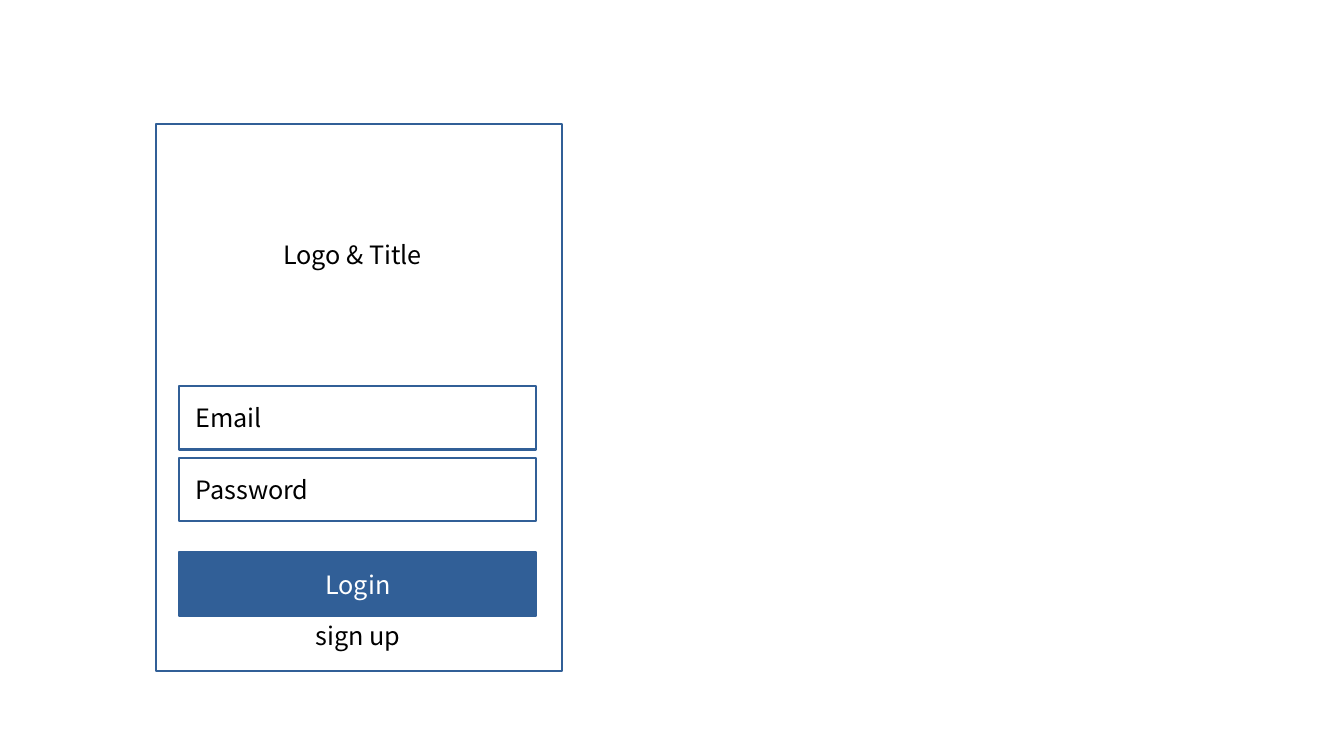
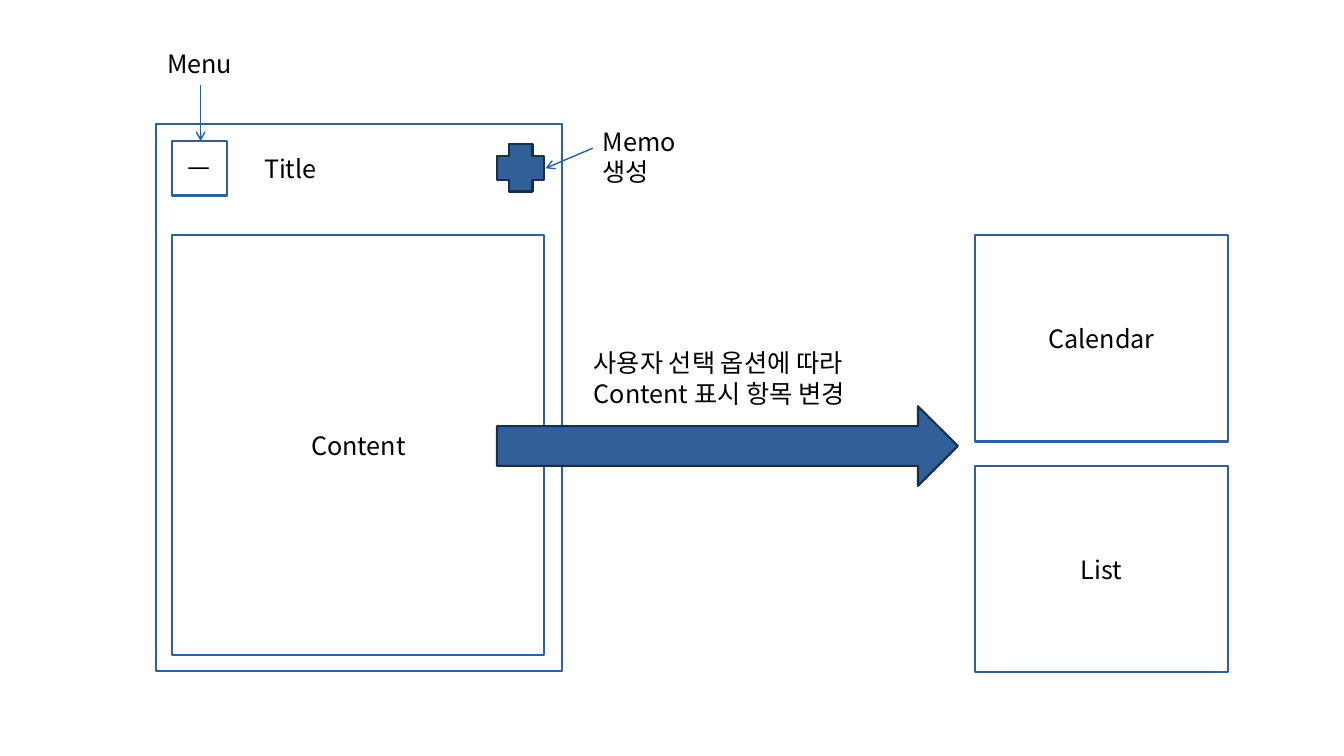
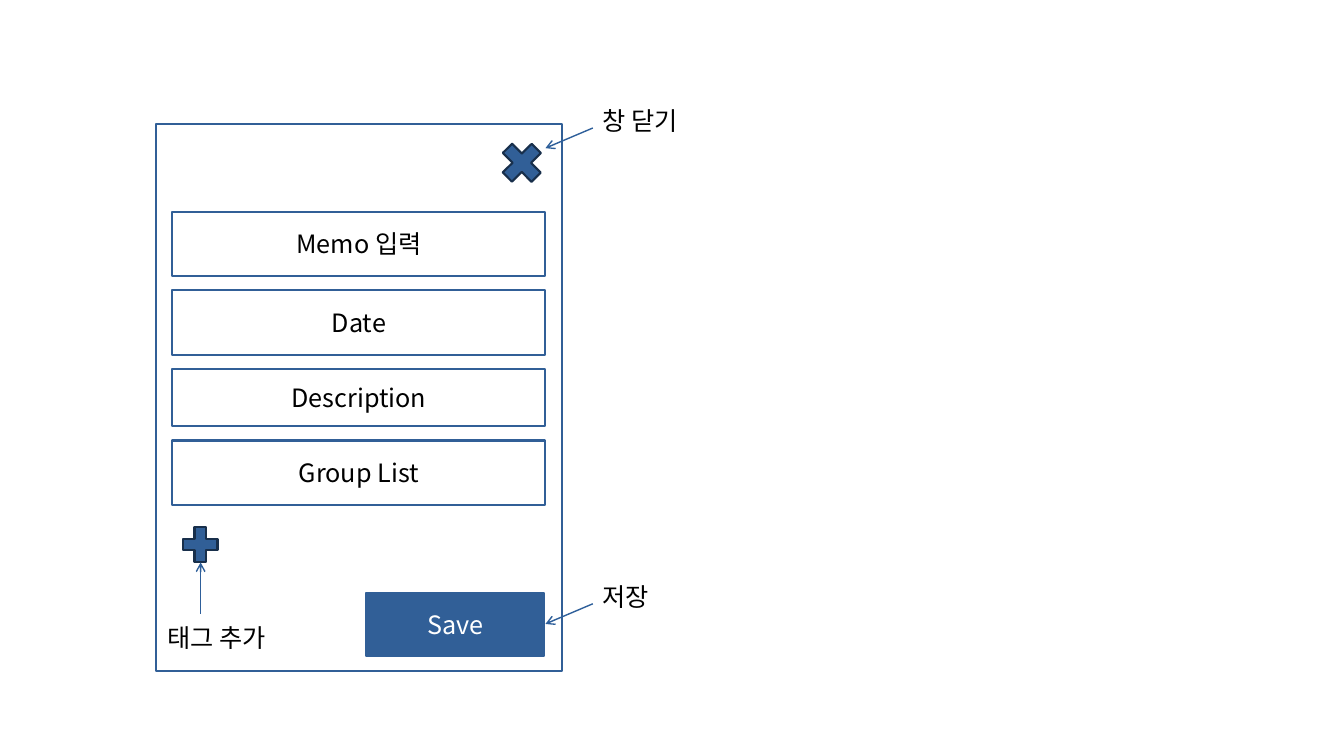
from dataclasses import dataclass

from lxml.etree import SubElement
from pptx import Presentation
from pptx.dml.color import RGBColor
from pptx.enum.shapes import MSO_CONNECTOR, MSO_SHAPE
from pptx.enum.text import MSO_ANCHOR, PP_ALIGN
from pptx.oxml.ns import qn
from pptx.util import Inches, Pt

# Content: labels with their places in inches (left, top[, width, height])
LOGIN_LABELS = [("Logo & Title", 2.71, 2.33, 1.63), ("sign up", 3.03, 6.11, 1.05)]
LOGIN_FIELDS = ["Email", "Password"]
LOGIN_BUTTON = ("Login", 1.78, 5.48, 3.54, 0.63)

MENU_BUTTON = ("ㅡ", 1.71, 1.4, 0.54, 0.54)
CONTENT_AREA = ("Content", 1.71, 2.33, 3.69, 4.17)
CONTENT_OPTIONS = ["Calendar", "List"]
HOME_LABELS = [("Title", 2.52, 1.47, 0.72), ("Menu", 1.56, 0.43, 0.85)]
OPTION_NOTE = ("사용자 선택 옵션에 따라\nContent 표시 항목 변경", 5.79, 3.4, 2.87, 0.7)
MEMO_CALLOUT = ("Memo 생성", 1.67, 1.4)  # text, tip height, label width

MEMO_FIELDS = [("Memo 입력", 0.64), ("Date", 0.64), ("Description", 0.57), ("Group List", 0.64)]
SAVE_BUTTON = ("Save", 3.63, 5.88, 1.77, 0.63)
EDITOR_CALLOUTS = [("창 닫기", 1.47, 1.01), ("저장", 6.19, 0.7)]
TAG_LABEL = ("태그 추가", 1.56, 6.12, 1.26)


@dataclass(frozen=True)
class Theme:
    blue: RGBColor = RGBColor(0x31, 0x5F, 0x97)
    navy: RGBColor = RGBColor(0x18, 0x2F, 0x4B)
    arrow: RGBColor = RGBColor(0x2E, 0x5F, 0x9A)
    white: RGBColor = RGBColor(0xFF, 0xFF, 0xFF)
    black: RGBColor = RGBColor(0, 0, 0)
    font: str = "Noto Sans CJK KR"
    size: Pt = Pt(18)
    outline: Pt = Pt(1.5)
    pointer: Pt = Pt(1)


THEME = Theme()
PHONE = (1.55, 1.23, 4.02, 5.43)
POINTER_X = 1.99
CALLOUT_TIP, CALLOUT_START = 5.41, 5.88

prs = Presentation()
prs.slide_width, prs.slide_height = Inches(13.33), Inches(7.5)


# Shared parts
def write(frame, text, color, align):
    frame.text = text
    for paragraph in frame.paragraphs:
        paragraph.alignment = align
        font = paragraph.font
        font.size, font.name = THEME.size, THEME.font
        font.color.rgb = color
        east_asian = SubElement(paragraph._p.pPr.find(qn("a:defRPr")), qn("a:ea"))
        east_asian.set("typeface", THEME.font)


def add_figure(slide, kind, place, fill=THEME.blue, line=THEME.navy):
    figure = slide.shapes.add_shape(kind, *map(Inches, place))
    figure.shadow.inherit = False
    figure.fill.solid()
    figure.fill.fore_color.rgb = fill
    figure.line.color.rgb = line
    figure.line.width = THEME.outline
    return figure


def add_box(slide, text, *place, fill=THEME.white, color=THEME.black, align=PP_ALIGN.CENTER):
    box = add_figure(slide, MSO_SHAPE.RECTANGLE, place, fill, THEME.blue)
    if text:
        box.text_frame.vertical_anchor = MSO_ANCHOR.MIDDLE
        write(box.text_frame, text, color, align)
    return box


def add_button(slide, text, *place):
    add_box(slide, text, *place, fill=THEME.blue, color=THEME.white)


def add_label(slide, text, left, top, width, height=0.4, wrap=False):
    label = slide.shapes.add_textbox(*map(Inches, (left, top, width, height)))
    label.text_frame.word_wrap = wrap
    write(label.text_frame, text, THEME.black, PP_ALIGN.LEFT)


def add_pointer(slide, *ends):
    pointer = slide.shapes.add_connector(MSO_CONNECTOR.STRAIGHT, *map(Inches, ends))
    pointer.line.color.rgb = THEME.arrow
    pointer.line.width = THEME.pointer
    SubElement(pointer.line._get_or_add_ln(), qn("a:tailEnd")).set("type", "arrow")
    SubElement(pointer._element.spPr, qn("a:effectLst"))


def add_callout(slide, text, tip, width, wrap=False):
    add_pointer(slide, CALLOUT_START, tip - 0.2, CALLOUT_TIP, tip)
    add_label(slide, text, CALLOUT_START, tip - 0.47, width, wrap=wrap)


def add_screen():
    slide = prs.slides.add_slide(prs.slide_layouts[6])
    add_box(slide, "", *PHONE)
    return slide


# Login screen
login = add_screen()
add_button(login, *LOGIN_BUTTON)
for row, name in enumerate(LOGIN_FIELDS):
    field = add_box(login, name, 1.78, 3.83 + row * 0.71, 3.54, 0.63, align=PP_ALIGN.LEFT)
    field.text_frame.margin_left = Inches(0.16)
for label in LOGIN_LABELS:
    add_label(login, *label)

# Home screen with its content options
home = add_screen()
add_box(home, *MENU_BUTTON)
add_box(home, *CONTENT_AREA)
for row, option in enumerate(CONTENT_OPTIONS):
    add_box(home, option, 9.67, 2.33 + row * 2.29, 2.51, 2.05)
add_figure(home, MSO_SHAPE.RIGHT_ARROW, (4.93, 4.03, 4.57, 0.79))
add_figure(home, MSO_SHAPE.CROSS, (4.93, 1.43, 0.47, 0.47))
for label in HOME_LABELS + [OPTION_NOTE]:
    add_label(home, *label)
add_pointer(home, POINTER_X, 0.84, POINTER_X, 1.4)
add_callout(home, *MEMO_CALLOUT, wrap=True)

# Memo editor
editor = add_screen()
field_top = 2.1
for name, height in MEMO_FIELDS:
    add_box(editor, name, 1.71, field_top, 3.7, height)
    field_top += height + 0.14
close_icon = add_figure(editor, MSO_SHAPE.MATH_PLUS, (4.9, 1.34, 0.55, 0.55))
close_icon.rotation = 45.3
add_figure(editor, MSO_SHAPE.MATH_PLUS, (1.75, 5.17, 0.47, 0.47))
add_button(editor, *SAVE_BUTTON)
for callout in EDITOR_CALLOUTS:
    add_callout(editor, *callout)
add_pointer(editor, POINTER_X, 6.09, POINTER_X, 5.58)
add_label(editor, *TAG_LABEL)

prs.save("out.pptx")
